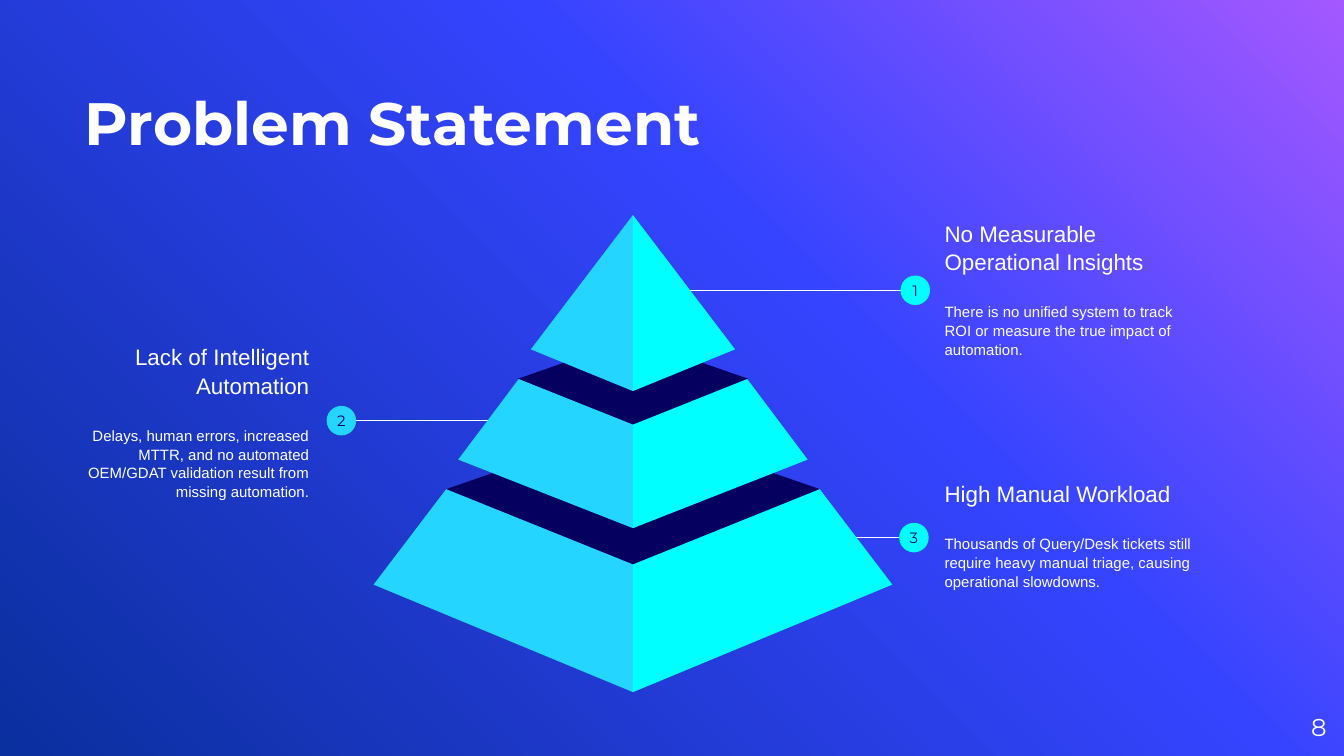
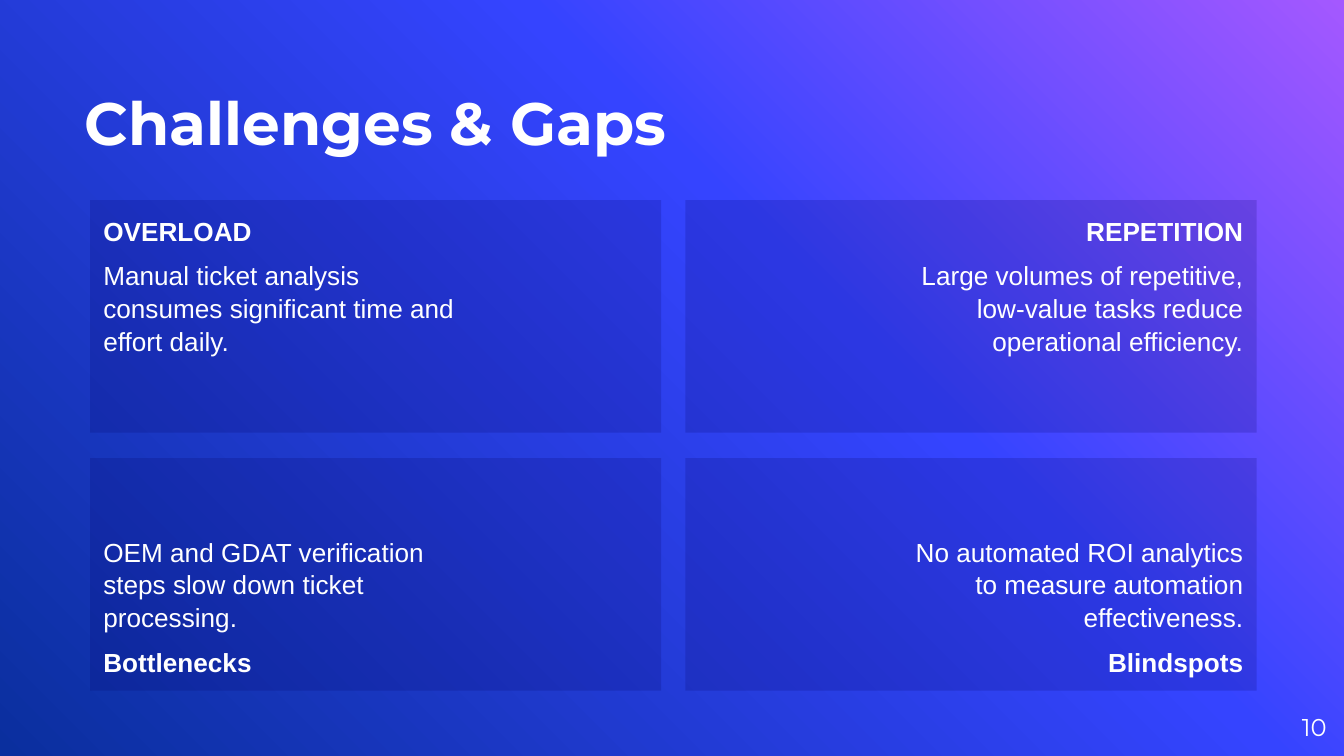
"""Builds two slides: a problem pyramid and a grid of challenges."""
from lxml import etree
from pptx import Presentation
from pptx.dml.color import RGBColor
from pptx.enum.shapes import MSO_CONNECTOR, MSO_SHAPE
from pptx.enum.text import MSO_ANCHOR, PP_ALIGN
from pptx.oxml.ns import qn
from pptx.util import Inches, Pt

LEFT, MID, RIGHT = PP_ALIGN.LEFT, PP_ALIGN.CENTER, PP_ALIGN.RIGHT
TOP, CENTER, BOTTOM = MSO_ANCHOR.TOP, MSO_ANCHOR.MIDDLE, MSO_ANCHOR.BOTTOM
RECT, OVAL = MSO_SHAPE.RECTANGLE, MSO_SHAPE.OVAL
STRAIGHT = MSO_CONNECTOR.STRAIGHT

WHITE = RGBColor(0xFF, 0xFF, 0xFF)
NAVY = RGBColor(0x05, 0x00, 0x60)
SKY = RGBColor(0x24, 0xD6, 0xFF)
CYAN = RGBColor(0x00, 0xFF, 0xFF)
PURPLE = RGBColor(0xA4, 0x58, 0xFF)
BLUE = RGBColor(0x35, 0x44, 0xFF)
DEEP = RGBColor(0x0A, 0x2F, 0x9E)
HEAD, BODY = "Montserrat", "Arial"

deck = Presentation()
deck.slide_width, deck.slide_height = Inches(10), Inches(5.625)
U = deck.slide_width // 1000


def write(shape, *lines, font=BODY, color=WHITE, align=LEFT, anchor=TOP,
          inset=(0, 0, 0, 0), lead=1.05):
    """Fills a shape with lines of (words, size, bold, before, after)."""
    frame = shape.text_frame
    frame.word_wrap = True
    frame.vertical_anchor = anchor
    (frame.margin_left, frame.margin_top,
     frame.margin_right, frame.margin_bottom) = [n * U for n in inset]
    for i, (words, size, bold, before, after) in enumerate(lines):
        para = frame.add_paragraph() if i else frame.paragraphs[0]
        para.alignment = align
        para.line_spacing = lead
        para.space_before, para.space_after = Pt(before), Pt(after)
        run = para.add_run()
        run.text = words
        run.font.name, run.font.size, run.font.bold = font, Pt(size), bold
        run.font.color.rgb = color


def paint(shape, color, alpha=100):
    """Gives a shape a plain fill with no line or shadow."""
    shape.shadow.inherit = False
    shape.line.fill.background()
    shape.fill.solid()
    shape.fill.fore_color.rgb = color
    if alpha < 100:
        tint = shape._element.spPr.find(qn("a:solidFill"))[0]
        etree.SubElement(tint, qn("a:alpha"), val=str(alpha * 1000))


master = deck.slide_master
back = master.background.fill
back.gradient()
back.gradient_angle = 225
stops = master._element.find(".//" + qn("a:gsLst"))
for stop in list(stops):
    stops.remove(stop)
for share, color in ((0, PURPLE), (39, BLUE), (100, DEEP)):
    stop = etree.SubElement(stops, qn("a:gs"), pos=str(share * 1000))
    etree.SubElement(stop, qn("a:srgbClr"), val=str(color))

pages = []
for title, page in (("Problem Statement", "8"), ("Challenges & Gaps", "10")):
    shapes = deck.slides.add_slide(deck.slide_layouts[6]).shapes
    pages.append(shapes)
    write(shapes.add_textbox(63 * U, 23 * U, 658 * U, 94 * U),
          (title, 32, True, 0, 0), font=HEAD, anchor=BOTTOM, lead=1)
    write(shapes.add_textbox(927 * U, 519 * U, 60 * U, 43 * U),
          (page, 13, False, 0, 0), font=HEAD, align=RIGHT, anchor=CENTER, lead=1)

shapes = pages[0]
DOT = 22
NOTES = (
    ("1", "No Measurable Operational Insights",
     "There is no unified system to track ROI or measure the true impact of automation.",
     693, 139, RIGHT, 503, 681, 216, CYAN),
    ("2", "Lack of Intelligent Automation",
     "Delays, human errors, increased MTTR, and no automated OEM/GDAT validation "
     "result from missing automation.",
     36, 238, LEFT, 364, 254, 313, SKY),
    ("3", "High Manual Workload",
     "Thousands of Query/Desk tickets still require heavy manual triage, causing "
     "operational slowdowns.",
     693, 322, RIGHT, 627, 680, 400, CYAN),
)
for num, name, detail, x, y, side, start, dot, level, color in NOTES:
    line = shapes.add_connector(STRAIGHT, start * U, level * U, dot * U, level * U)
    line.line.color.rgb, line.line.width = WHITE, Pt(0.75)
    etree.SubElement(line._element.spPr, qn("a:effectLst"))
    write(shapes.add_textbox(x * U, y * U, 204 * U, 151 * U),
          (name, 12, False, 0, 0), (detail, 8, False, 14.5, 16),
          align=LEFT if side == RIGHT else RIGHT, anchor=CENTER, inset=[10] * 4)
    badge = shapes.add_shape(OVAL, (dot - DOT // 2) * U, (level - DOT // 2) * U,
                             DOT * U, DOT * U)
    paint(badge, color)
    write(badge, (num, 8, False, 0, 0), font=HEAD, color=NAVY,
          align=MID, anchor=CENTER, lead=1)

AXIS = 471
TIERS = (
    (((-139, 364), (0, 420), (139, 364), (0, 316)),
     ((139, 364), (193, 435), (0, 515), (0, 420))),
    (((-86, 282), (0, 316), (86, 282), (0, 252)),
     ((85, 282), (0, 316), (0, 393), (130, 342))),
    ((), ((0, 160), (76, 260), (0, 291))),
)
for lid, face in TIERS:
    for points, sign, color in ((lid, 1, NAVY), (face, -1, SKY), (face, 1, CYAN)):
        if points:
            spots = [(AXIS + sign * x, y) for x, y in points]
            form = shapes.build_freeform(*spots[0], scale=U)
            form.add_line_segments(spots[1:])
            paint(form.convert_to_shape(), color)

shapes = pages[1]
CARDS = (
    ("OVERLOAD", "Manual ticket analysis consumes significant time and effort daily."),
    ("REPETITION",
     "Large volumes of repetitive, low-value tasks reduce operational efficiency."),
    ("Bottlenecks", "OEM and GDAT verification steps slow down ticket processing."),
    ("Blindspots", "No automated ROI analytics to measure automation effectiveness."),
)
for i, (name, detail) in enumerate(CARDS):
    row, col = divmod(i, 2)
    card = shapes.add_shape(RECT, (67 + 443 * col) * U, (149 + 192 * row) * U,
                            425 * U, 173 * U)
    paint(card, NAVY, alpha=18)
    pair = [(name, True), (detail, False)]
    if row:
        pair.reverse()
    (first, bold), (last, heavy) = pair
    write(card, (first, 14, bold, 0, 0), (last, 14, heavy, 6, 6),
          align=RIGHT if col else LEFT, anchor=BOTTOM if row else TOP,
          inset=(150, 10, 10, 10) if col else (10, 10, 150, 10))

deck.save("out.pptx")
